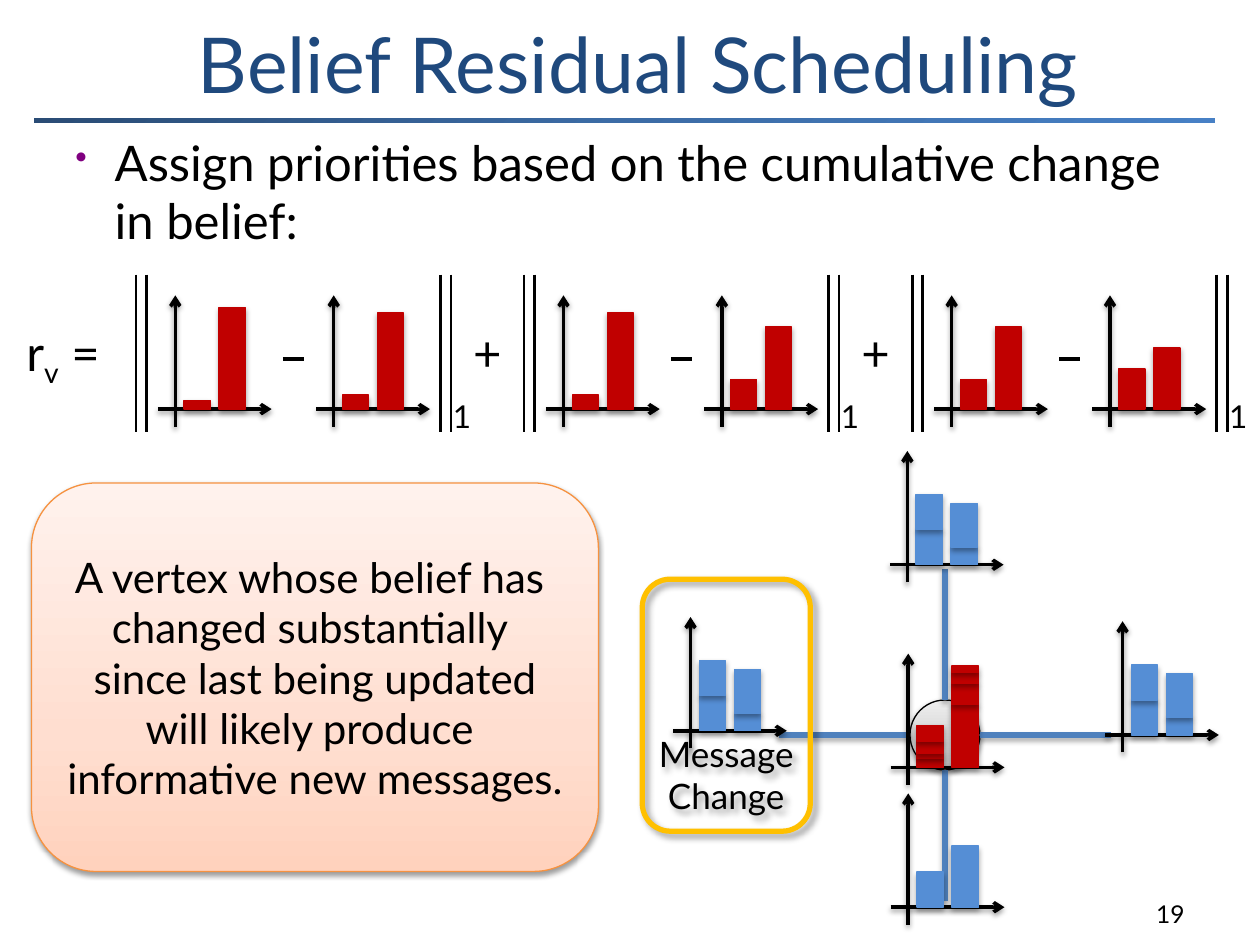
"""Build the belief residual scheduling slide."""
from lxml.etree import SubElement
from pptx import Presentation
from pptx.dml.color import RGBColor
from pptx.enum.shapes import MSO_CONNECTOR as Link, MSO_SHAPE as Shape
from pptx.enum.text import MSO_ANCHOR as Anchor, PP_ALIGN as Align
from pptx.oxml.ns import qn
from pptx.util import Pt

BLACK = RGBColor(0, 0, 0)
WHITE = RGBColor(255, 255, 255)
NAVY = RGBColor(0x1F, 0x49, 0x7D)
EDGE = RGBColor(0x4F, 0x81, 0xBD)
BLUE = RGBColor(0x55, 0x8E, 0xD5)
RED = RGBColor(0xC0, 0, 0)
GOLD = RGBColor(0xFF, 0xC0, 0)
ORANGE = RGBColor(0xF6, 0x92, 0x40)
PURPLE = RGBColor(0x80, 0, 0x80)
RULE_STOPS = (0, "2A4C75"), (50, "3C6CA6"), (100, "4780C5")
VERTEX_STOPS = (0, "BDBDBD"), (35, "D1D1D1"), (100, "EEEEEE")
NOTE_STOPS = (0, "FFD2BD"), (35, "FFDED0"), (100, "FFF2ED")
SOFT = (38, 3.1, 1.6, 90)
FLAT = (35, 3.1, 1.8, 90)
DEEP = (40, 4, 3, 45)


def write(frame, text, size=28, color=BLACK, align=Align.LEFT, anchor=Anchor.TOP,
          wrap=True, bullet=None, subscript=None, font="Lato"):
    frame.word_wrap = wrap
    frame.vertical_anchor = anchor
    for index, line in enumerate(text.split("\n")):
        paragraph = frame.paragraphs[0] if index == 0 else frame.add_paragraph()
        paragraph.alignment = align
        if bullet:
            props = paragraph._p.get_or_add_pPr()
            props.set("marL", str(Pt(22.5)))
            props.set("indent", str(-Pt(22.5)))
            SubElement(SubElement(props, qn("a:buClr")), qn("a:srgbClr"), val=str(PURPLE))
            SubElement(props, qn("a:buSzPct"), val="70000")
            SubElement(props, qn("a:buChar"), char=bullet)
        for part in line.partition(subscript) if subscript else [line]:
            run = paragraph.add_run()
            run.text = part
            run.font.name, run.font.size = font, Pt(size)
            run.font.color.rgb = color
            if part == subscript:
                run._r.get_or_add_rPr().set("baseline", "-25000")


class Board:
    """Holds the style and the current slide, and draws each kind of element."""

    def __init__(self, deck):
        self.slide = deck.slides.add_slide(deck.slide_layouts[6])
        self.shapes = self.slide.shapes

    def group(self):
        self.shapes = self.slide.shapes.add_group_shape().shapes

    def ungroup(self):
        self.shapes = self.slide.shapes

    def effects(self, item, shadow):
        props = item._element.spPr
        effects = props.find(qn("a:effectLst"))
        if effects is None:
            effects = SubElement(props, qn("a:effectLst"))
        if shadow:
            alpha, blur, distance, angle = shadow
            outer = SubElement(effects, qn("a:outerShdw"), blurRad=str(Pt(blur)),
                               dist=str(Pt(distance)), dir=str(angle * 60000), rotWithShape="0")
            tint = SubElement(outer, qn("a:srgbClr"), val=str(BLACK))
            SubElement(tint, qn("a:alpha"), val=str(alpha * 1000))

    def gradient(self, item, stops, angle):
        props = item._element.spPr
        fill = SubElement(props, qn("a:gradFill"), rotWithShape="1")
        stop_list = SubElement(fill, qn("a:gsLst"))
        for place, tint in stops:
            stop = SubElement(stop_list, qn("a:gs"), pos=str(place * 1000))
            SubElement(stop, qn("a:srgbClr"), val=tint)
        SubElement(fill, qn("a:lin"), ang=str(angle * 60000), scaled="0")
        props.find(qn("a:prstGeom")).addnext(fill)

    def box(self, kind, left, top, width, height, line, weight=0.75,
            fill=None, stops=None, angle=270, shadow=None):
        item = self.shapes.add_shape(kind, Pt(left), Pt(top), Pt(width), Pt(height))
        if stops:
            self.gradient(item, stops, angle)
        elif fill:
            item.fill.solid()
            item.fill.fore_color.rgb = fill
        else:
            item.fill.background()
        item.line.color.rgb, item.line.width = line, Pt(weight)
        item.shadow.inherit = False
        self.effects(item, shadow)
        return item

    def line(self, x1, y1, x2, y2, weight, color=BLACK, arrow=False, shadow=None):
        item = self.shapes.add_connector(Link.STRAIGHT, Pt(x1), Pt(y1), Pt(x2), Pt(y2))
        item.line.color.rgb, item.line.width = color, Pt(weight)
        if arrow:
            SubElement(item.line._get_or_add_ln(), qn("a:tailEnd"), type="arrow")
        self.effects(item, shadow)

    def label(self, left, top, width, height, text, **style):
        item = self.shapes.add_textbox(Pt(left), Pt(top), Pt(width), Pt(height))
        write(item.text_frame, text, **style)

    def histogram(self, x, y, color, first, second):
        self.line(x - 10, y, x + 55, y, 2, arrow=True, shadow=SOFT)
        self.line(x, y + 10, x, y - 65, 2, arrow=True, shadow=SOFT)
        for left, stack in ((x + 5, first), (x + 25, second)):
            top = y
            for height in stack:
                top -= height
                self.box(Shape.RECTANGLE, left, top, 15, height, color, fill=color, shadow=FLAT)

    def norm(self, left, before, after, plus):
        self.group()
        self.histogram(left + 22.5, 233.8, RED, *before)
        self.histogram(left + 113, 233.8, RED, *after)
        self.line(left + 84, 205.2, left + 96, 205.2, 2.25)
        for offset in (0, 6, 174, 180):
            self.line(left + offset, 157, left + offset, 247, 1.5)
        self.label(left + 174, 223.2, 24.5, 29, "1", size=18, wrap=False)
        if plus:
            self.label(left - 41.5, 180.7, 41, 41, "+", align=Align.CENTER)
        self.ungroup()


def main():
    deck = Presentation()
    deck.slide_width, deck.slide_height = Pt(720), Pt(540)
    board = Board(deck)

    board.box(Shape.RECTANGLE, 18, 66, 678, 6, WHITE, 3, stops=RULE_STOPS, angle=45)
    board.label(106, 6, 590, 60, "Belief Residual Scheduling",
                size=44, color=NAVY, anchor=Anchor.BOTTOM)
    board.label(36, 72, 654, 72, "Assign priorities based on the cumulative change in belief:",
                bullet="•")

    vertex_x, vertex_y, radius, reach = 540, 420, 20, 95
    board.box(Shape.OVAL, vertex_x - radius, vertex_y - radius, 2 * radius, 2 * radius,
              BLACK, stops=VERTEX_STOPS, shadow=SOFT)
    for dx, dy in ((1, 0), (0, -1), (-1, 0), (0, 1)):
        board.line(vertex_x + dx * radius, vertex_y + dy * radius,
                   vertex_x + dx * reach, vertex_y + dy * reach, 3, EDGE, shadow=FLAT)

    message = ((20, 20), (10, 25))
    board.histogram(394.6, 417.6, BLUE, *message)
    board.histogram(518.5, 322.7, BLUE, *message)
    board.histogram(641.5, 420, BLUE, *message)
    board.histogram(519, 518.4, BLUE, (20,), (35,))
    board.histogram(519, 438.5, RED, (5, 3, 7, 9), (36, 12, 6, 4))

    beliefs = [((5,), (58,)), ((8,), (55,)), ((17,), (47,)), ((23,), (35,))]
    for term, (before, after) in enumerate(zip(beliefs, beliefs[1:])):
        board.norm(77.7 + 221.8 * term, before, after, plus=term > 0)
    board.label(8, 180.7, 63, 41, "rv =", wrap=False, subscript="v")

    change = board.box(Shape.ROUNDED_RECTANGLE, 367, 331, 96, 144, GOLD, 3, shadow=DEEP)
    write(change.text_frame, "Message\nChange", size=20, align=Align.CENTER,
          anchor=Anchor.BOTTOM, wrap=False)
    board.label(534, 498, 150, 36, "19", size=14, align=Align.RIGHT, anchor=Anchor.BOTTOM)
    note = board.box(Shape.ROUNDED_RECTANGLE, 18, 276, 324, 222, ORANGE,
                     stops=NOTE_STOPS, shadow=SOFT)
    write(note.text_frame,
          "A vertex whose belief has \nchanged substantially \nsince last being updated\n"
          "will likely produce \ninformative new messages.",
          size=24, align=Align.CENTER, anchor=Anchor.MIDDLE, wrap=False)
    deck.save("out.pptx")


if __name__ == "__main__":
    main()
